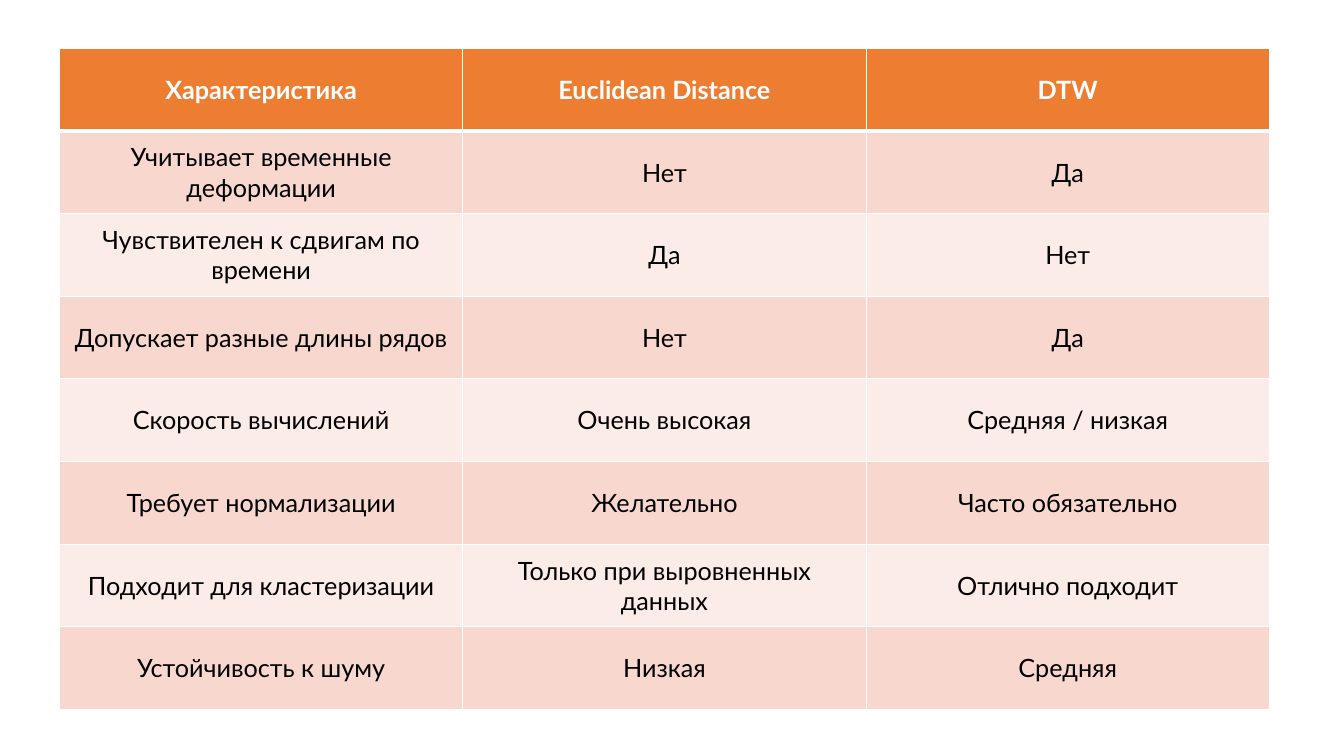
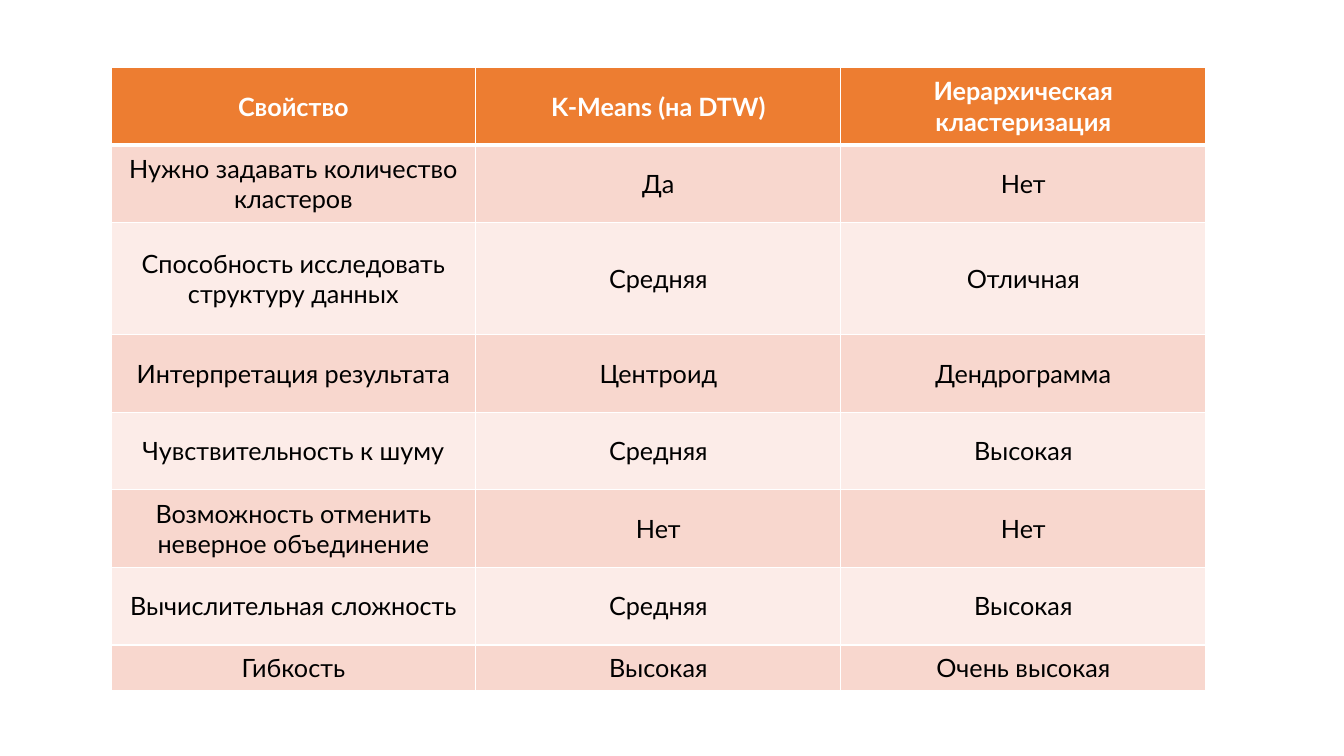
from pptx import Presentation
from pptx.dml.color import RGBColor
from pptx.enum.text import MSO_ANCHOR, PP_ALIGN
from pptx.oxml.ns import qn
from pptx.util import Inches, Pt
from lxml.etree import SubElement

# Shared look
COLORS = {
    "header": "ED7D31",
    "band_dark": "F8D7CE",
    "band_light": "FCECE8",
    "border": "FFFFFF",
    "header_text": "FFFFFF",
    "body_text": "000000",
}
FONT = {"name": "Lato", "size": Pt(18)}
THIN, THICK = Pt(1), Pt(3)

# Content: position, column width, row heights and rows of each table
TABLES = [
    {
        "left": 0.59, "top": 0.48, "column_width": 4,
        "row_heights": [0.82] * 8,
        "rows": [
            ("Характеристика", "Euclidean Distance", "DTW"),
            ("Учитывает временные деформации", "Нет", "Да"),
            ("Чувствителен к сдвигам по времени", "Да", "Нет"),
            ("Допускает разные длины рядов", "Нет", "Да"),
            ("Скорость вычислений", "Очень высокая", "Средняя / низкая"),
            ("Требует нормализации", "Желательно", "Часто обязательно"),
            ("Подходит для кластеризации", "Только при выровненных данных",
             "Отлично подходит"),
            ("Устойчивость к шуму", "Низкая", "Средняя"),
        ],
    },
    {
        "left": 1.1, "top": 0.67, "column_width": 3.62,
        "row_heights": [0.77] * 2 + [1.11] + [0.77] * 4 + [0.45],
        "rows": [
            ("Свойство", "K-Means (на DTW)", "Иерархическая кластеризация"),
            ("Нужно задавать количество кластеров", "Да", "Нет"),
            ("Способность исследовать структуру данных", "Средняя", "Отличная"),
            ("Интерпретация результата", "Центроид", "Дендрограмма"),
            ("Чувствительность к шуму", "Средняя", "Высокая"),
            ("Возможность отменить неверное объединение", "Нет", "Нет"),
            ("Вычислительная сложность", "Средняя", "Высокая"),
            ("Гибкость", "Высокая", "Очень высокая"),
        ],
    },
]


def rgb(name):
    return RGBColor.from_string(COLORS[name])


def set_borders(cell, row_index):
    """Thin white lines, with a thick one between header and body."""
    widths = {
        "a:lnL": THIN,
        "a:lnR": THIN,
        "a:lnT": THICK if row_index == 1 else THIN,
        "a:lnB": THICK if row_index == 0 else THIN,
    }
    properties = cell._tc.get_or_add_tcPr()
    for tag, width in widths.items():
        line = SubElement(properties, qn(tag), w=str(width))
        fill = SubElement(line, qn("a:solidFill"))
        SubElement(fill, qn("a:srgbClr"), val=COLORS["border"])


def format_cell(cell, text, row_index):
    is_header = row_index == 0
    band = "band_dark" if row_index % 2 else "band_light"
    # Borders come before the fill in the cell properties
    set_borders(cell, row_index)
    cell.fill.solid()
    cell.fill.fore_color.rgb = rgb("header" if is_header else band)
    cell.vertical_anchor = MSO_ANCHOR.MIDDLE
    paragraph = cell.text_frame.paragraphs[0]
    paragraph.alignment = PP_ALIGN.CENTER
    run = paragraph.add_run()
    run.text = text
    for attribute, value in {**FONT, "bold": is_header}.items():
        setattr(run.font, attribute, value)
    run.font.color.rgb = rgb("header_text" if is_header else "body_text")


def add_comparison(slide, content):
    rows, heights = content["rows"], content["row_heights"]
    column_count = len(rows[0])
    column_width = Inches(content["column_width"])
    table = slide.shapes.add_table(
        len(rows), column_count, Inches(content["left"]), Inches(content["top"]),
        column_width * column_count, Inches(sum(heights))).table
    for column in table.columns:
        column.width = column_width
    for row_index, (texts, height) in enumerate(zip(rows, heights)):
        table.rows[row_index].height = Inches(height)
        for column_index, text in enumerate(texts):
            format_cell(table.cell(row_index, column_index), text, row_index)


def main():
    presentation = Presentation()
    presentation.slide_width = Inches(13.33)
    presentation.slide_height = Inches(7.5)
    blank_layout = presentation.slide_layouts[6]
    for content in TABLES:
        add_comparison(presentation.slides.add_slide(blank_layout), content)
    presentation.save("out.pptx")


if __name__ == "__main__":
    main()
